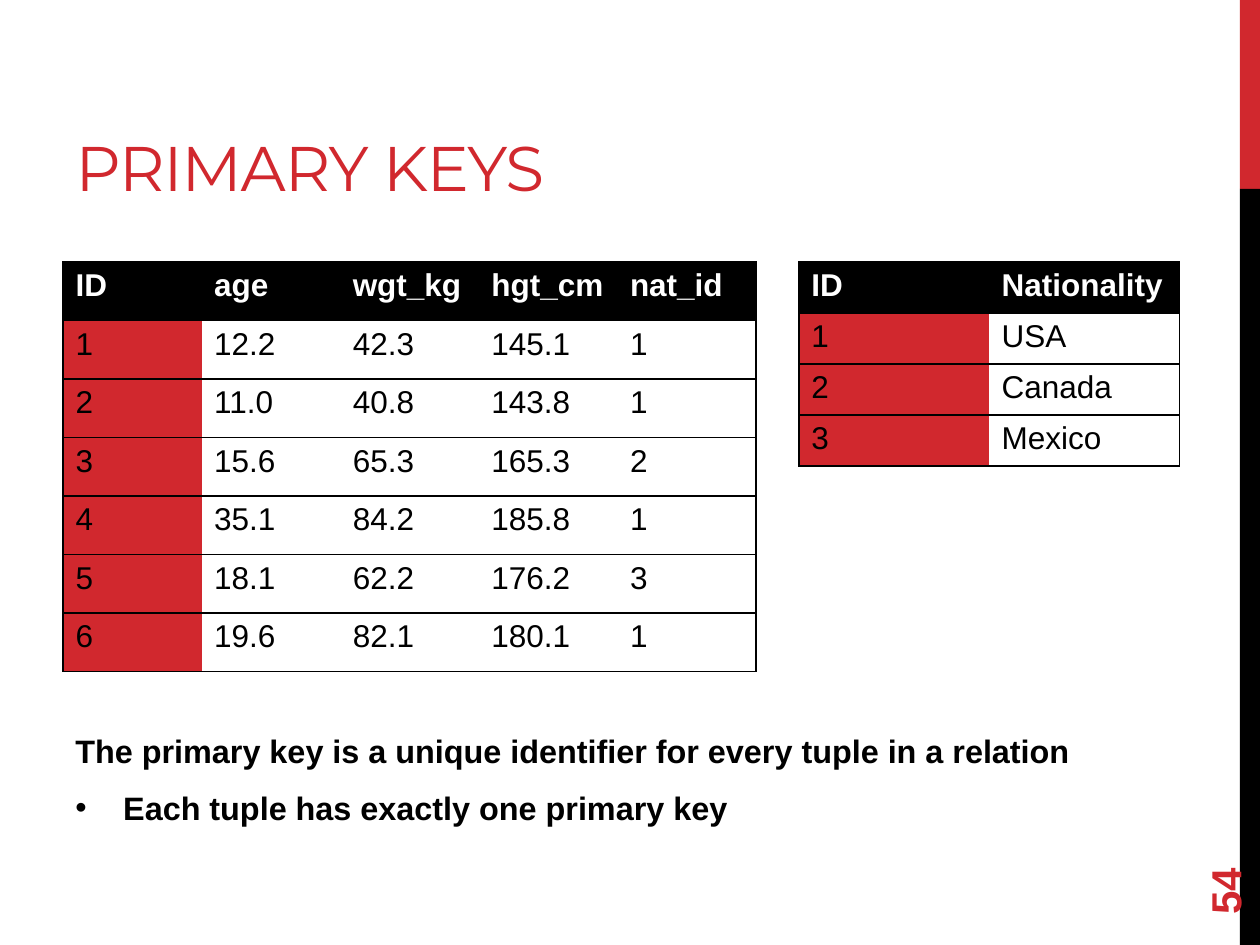
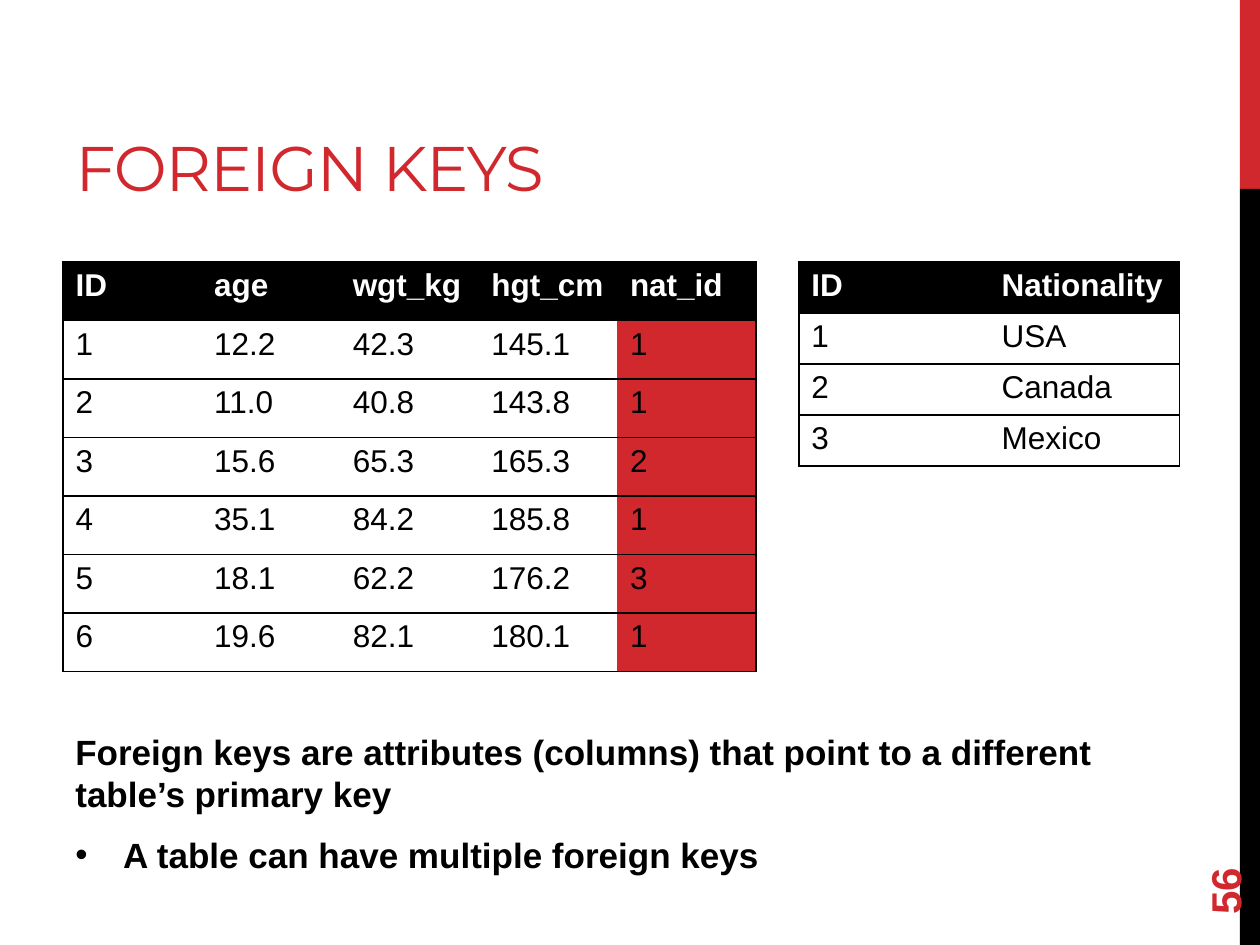
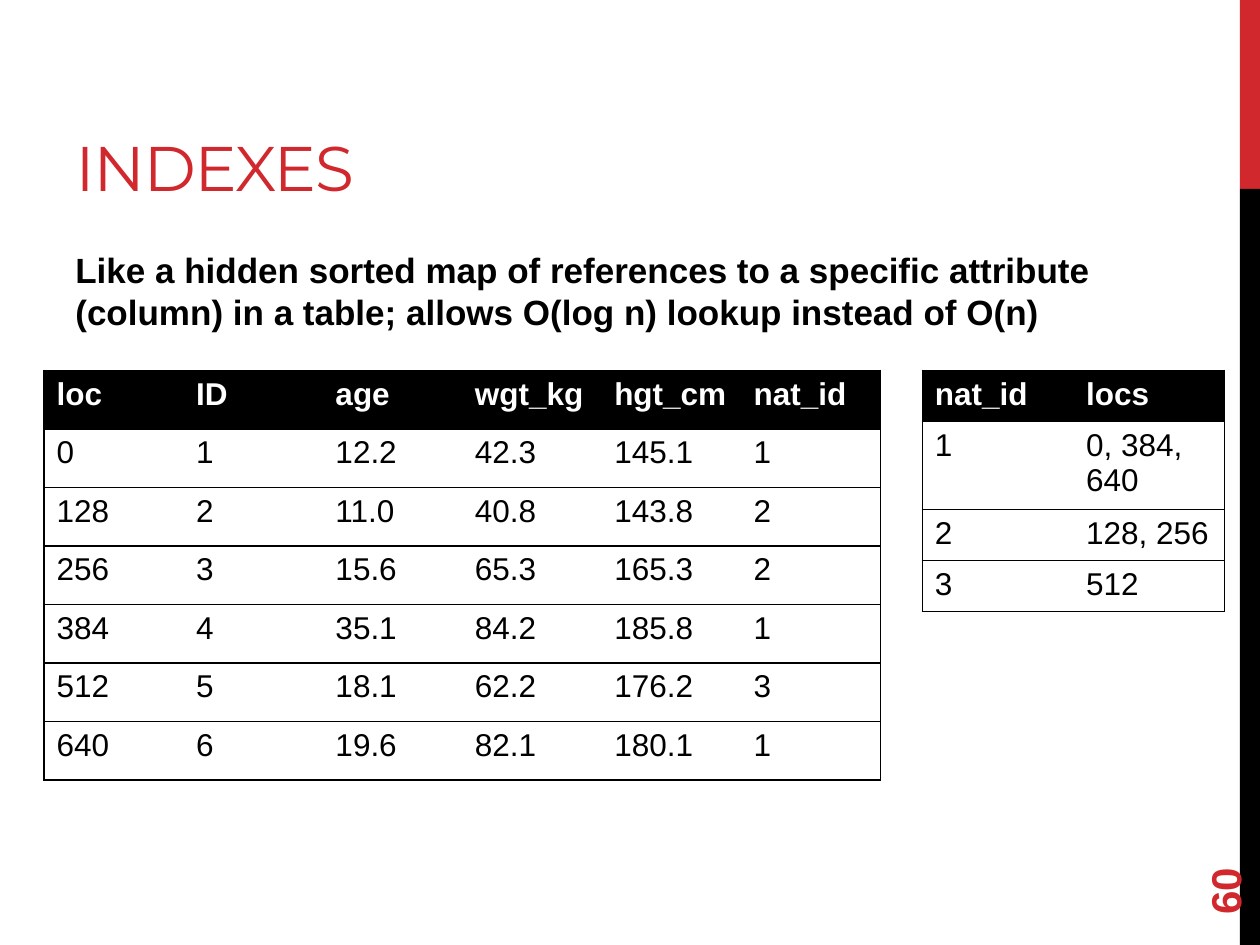
from lxml import etree
from pptx import Presentation
from pptx.dml.color import RGBColor
from pptx.enum.shapes import MSO_SHAPE
from pptx.enum.text import MSO_ANCHOR, MSO_AUTO_SIZE, PP_ALIGN
from pptx.oxml.ns import qn
from pptx.util import Inches, Pt

RECTANGLE = MSO_SHAPE.RECTANGLE
LEFT = PP_ALIGN.LEFT
BOTTOM, MIDDLE = MSO_ANCHOR.BOTTOM, MSO_ANCHOR.MIDDLE
NO_AUTOFIT = MSO_AUTO_SIZE.NONE
TITLE_ONLY = 5

COLORS = {"red": "D1282E", "black": "000000", "white": "FFFFFF"}
BODY_FONT, TITLE_FONT = "Arial", "Montserrat"
BULLET_INDENT = 0.38
PEOPLE_ROW, LOOKUP_ROW, TWO_LINE_ROW = 3.25 / 7, 0.405, 0.69

PEOPLE_HEADER = ["ID", "age", "wgt_kg", "hgt_cm", "nat_id"]
MEASUREMENTS = [
    ["1", "12.2", "42.3", "145.1"],
    ["2", "11.0", "40.8", "143.8"],
    ["3", "15.6", "65.3", "165.3"],
    ["4", "35.1", "84.2", "185.8"],
    ["5", "18.1", "62.2", "176.2"],
    ["6", "19.6", "82.1", "180.1"],
]
NATIONALITIES = [["ID", "Nationality"], ["1", "USA"], ["2", "Canada"], ["3", "Mexico"]]
NATIONALITY_LOCATIONS = [
    ["nat_id", "locs"], ["1", "0, 384, 640"], ["2", "128, 256"], ["3", "512"]]


def color(name):
    """Return the named palette colour."""
    return RGBColor.from_string(COLORS[name])


def people_rows(nationality_ids):
    """Return the people table with the given nationality column."""
    return [PEOPLE_HEADER] + [
        row + [nationality] for row, nationality in zip(MEASUREMENTS, nationality_ids)]


def write_text(paragraph, text, size=18, font=BODY_FONT, fill="black", bold=False, spacing=None):
    """Write one formatted run into a paragraph."""
    paragraph.alignment = LEFT
    run = paragraph.add_run()
    run.text = text
    run.font.size = Pt(size)
    run.font.name = font
    run.font.bold = bold
    run.font.color.rgb = color(fill)
    if spacing is not None:
        run._r.get_or_add_rPr().set("spc", str(round(spacing * 100)))


def add_band(slide, top, height, fill):
    """Add a plain block at the right edge."""
    band = slide.shapes.add_shape(
        RECTANGLE, Inches(9.84), Inches(top), Inches(0.16), Inches(height))
    band.shadow.inherit = False
    band.fill.solid()
    band.fill.fore_color.rgb = color(fill)
    band.line.fill.background()


def add_text_box(slide, left, top, width, height):
    """Add an empty wrapping text box."""
    box = slide.shapes.add_textbox(Inches(left), Inches(top), Inches(width), Inches(height))
    box.text_frame.word_wrap = True
    return box


def add_slide(presentation, title, number):
    """Add a slide with its bands, title and number."""
    slide = presentation.slides.add_slide(presentation.slide_layouts[TITLE_ONLY])
    add_band(slide, 0, 1.5, "red")
    add_band(slide, 1.5, 6, "black")

    shape = slide.shapes.title
    shape.left, shape.top = Inches(0.5), Inches(0.17)
    shape.width, shape.height = Inches(6.33), Inches(1.5)
    shape.text_frame.auto_size = NO_AUTOFIT
    shape.text_frame.vertical_anchor = BOTTOM
    write_text(shape.text_frame.paragraphs[0], title,
               size=36, font=TITLE_FONT, fill="red", spacing=-0.6)

    number_box = add_text_box(slide, 9, 6.44, 1.44, 0.4)
    number_box.rotation = 270
    number_box.text_frame.vertical_anchor = MIDDLE
    write_text(number_box.text_frame.paragraphs[0], number, size=24, fill="red", bold=True)
    return slide


def add_bullet(paragraph):
    """Give a paragraph a bullet with a hanging indent."""
    properties = paragraph._p.get_or_add_pPr()
    properties.set("marL", str(Inches(BULLET_INDENT)))
    properties.set("indent", str(-Inches(BULLET_INDENT)))
    etree.SubElement(properties, qn("a:buFont"), typeface=BODY_FONT)
    etree.SubElement(properties, qn("a:buChar"), char="•")


def add_statement(slide, top, height, statement, bullet=None, size=20):
    """Add a bold statement with an optional bullet below."""
    frame = add_text_box(slide, 0.5, top, 8.33, height).text_frame
    first = frame.paragraphs[0]
    first.space_after = Pt(6)
    write_text(first, statement, size=size, bold=True)
    if bullet:
        second = frame.add_paragraph()
        add_bullet(second)
        second.space_before = Pt(round(size * 0.23, 1))
        second.space_after = Pt(6)
        write_text(second, bullet, size=size, bold=True)


def set_borders(cell, visible_sides):
    """Draw black borders on the given sides and clear the others."""
    properties = cell._tc.get_or_add_tcPr()
    for position, side in enumerate("LRTB"):
        line = etree.Element(qn(f"a:ln{side}"), w=str(Pt(1)))
        if side in visible_sides:
            fill = etree.SubElement(line, qn("a:solidFill"))
            etree.SubElement(fill, qn("a:srgbClr"), val=COLORS["black"])
        else:
            etree.SubElement(line, qn("a:noFill"))
        properties.insert(position, line)


def add_data_table(slide, left, top, width, row_heights, rows, key_column=None):
    """Add a ruled table with a black header and an optional red key column."""
    column_count = len(rows[0])
    table = slide.shapes.add_table(
        len(rows), column_count, Inches(left), Inches(top),
        Inches(width), Inches(sum(row_heights))).table
    table.horz_banding = False
    for column in table.columns:
        column.width = Inches(width / column_count)
    for row_index, values in enumerate(rows):
        table.rows[row_index].height = Inches(row_heights[row_index])
        header = row_index == 0
        for column_index, value in enumerate(values):
            cell = table.cell(row_index, column_index)
            body_fill = "red" if column_index == key_column else "white"
            cell.fill.solid()
            cell.fill.fore_color.rgb = color("black" if header else body_fill)
            sides = "TB"
            if column_index == 0:
                sides += "L"
            if column_index == column_count - 1:
                sides += "R"
            set_borders(cell, sides)
            write_text(cell.text_frame.paragraphs[0], value,
                       fill="white" if header else "black", bold=header)


def add_key_tables(slide, people_key=None, nationality_key=None):
    """Add the people and nationality tables side by side."""
    add_data_table(slide, 0.5, 2.08, 5.5, [PEOPLE_ROW] * 7, people_rows("112131"), people_key)
    add_data_table(slide, 6.34, 2.08, 3.02, [LOOKUP_ROW] * 4, NATIONALITIES, nationality_key)


def add_index_tables(slide):
    """Add the located people table and its nationality index."""
    rows = people_rows("122131")
    located = [["loc"] + rows[0]]
    located += [[str(index * 128)] + row for index, row in enumerate(rows[1:])]
    add_data_table(slide, 0.35, 2.94, 6.64, [PEOPLE_ROW] * 7, located)
    add_data_table(slide, 7.32, 2.94, 2.4,
                   [LOOKUP_ROW, TWO_LINE_ROW, LOOKUP_ROW, LOOKUP_ROW], NATIONALITY_LOCATIONS)


def main():
    """Build and save the presentation."""
    presentation = Presentation()
    presentation.slide_width, presentation.slide_height = Inches(10), Inches(7.5)

    slide = add_slide(presentation, "PRIMARY KEYS", "54")
    add_statement(slide, 5.75, 0.95,
                  "The primary key is a unique identifier for every tuple in a relation",
                  "Each tuple has exactly one primary key", size=18.5)
    add_key_tables(slide, people_key=0, nationality_key=0)

    slide = add_slide(presentation, "FOREIGN KEYS", "56")
    add_statement(slide, 5.75, 1.34,
                  "Foreign keys are attributes (columns) that point to a different "
                  "table’s primary key",
                  "A table can have multiple foreign keys")
    add_key_tables(slide, people_key=4)

    slide = add_slide(presentation, "INDEXES", "60")
    add_statement(slide, 1.92, 4.78,
                  "Like a hidden sorted map of references to a specific attribute "
                  "(column) in a table; allows O(log n) lookup instead of O(n)")
    add_index_tables(slide)

    presentation.save("out.pptx")


if __name__ == "__main__":
    main()
